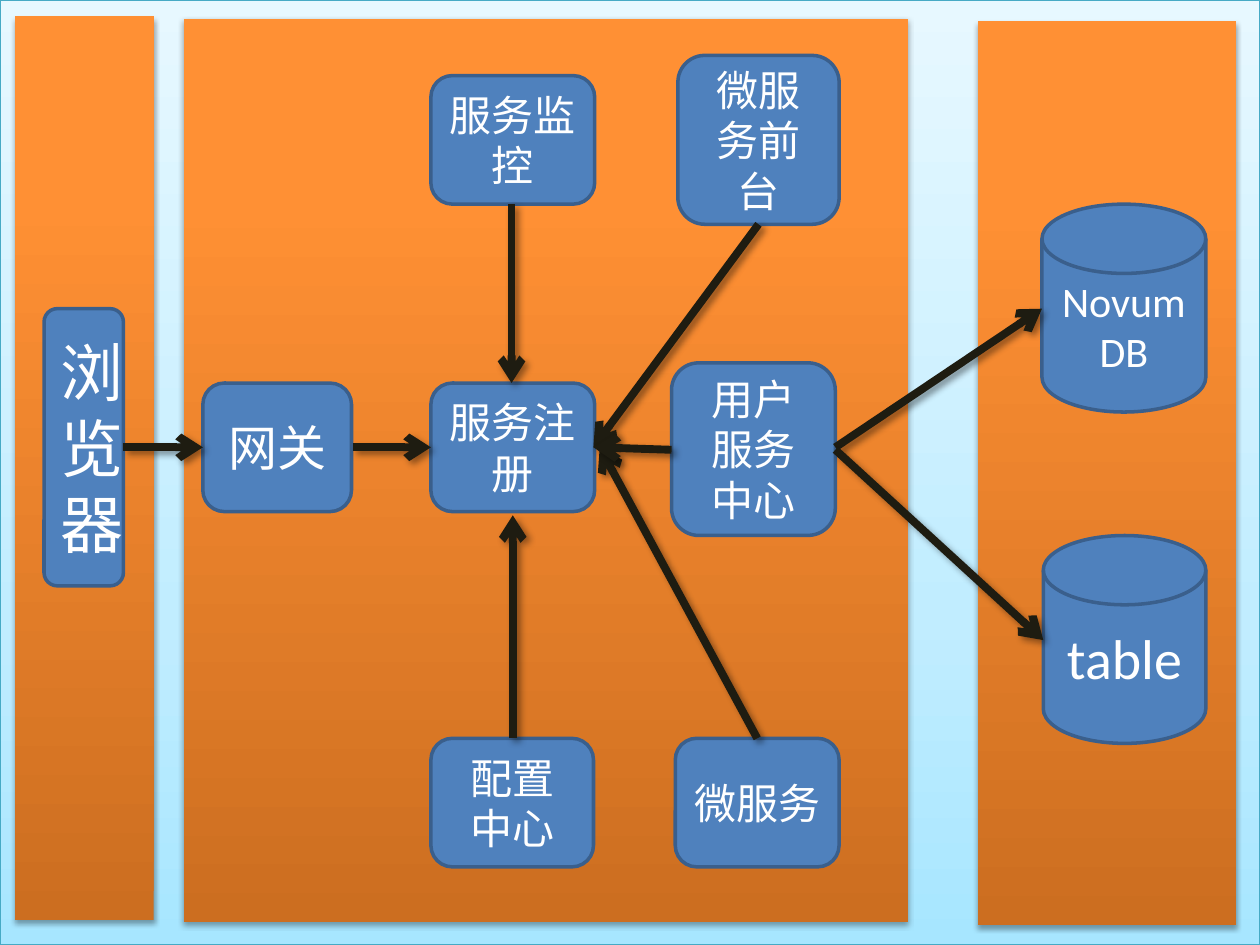
from dataclasses import dataclass

from lxml import etree
from pptx import Presentation
from pptx import util as u
from pptx.dml.color import RGBColor
from pptx.enum import shapes, text
from pptx.oxml.ns import qn

KIND = shapes.MSO_SHAPE


@dataclass(frozen=True)
class Theme:
    """Colours, type sizes and effects of the slide."""
    font: str = "Calibri"
    small: int = 24
    mid: int = 28
    large: int = 32
    huge: int = 36
    ink: str = "FFFFFF"
    node: str = "4F81BD"
    edge: str = "3A5F8C"
    rim: str = "46AAC5"
    arrow: str = "1E1C11"
    sky: tuple = ((0, "A7E6FF"), (35, "C1EDFF"), (100, "E7F8FF"))
    zone: tuple = ((0, "CC6E20"), (80, "FF9034"), (100, "FF9136"))
    # opacity %, blur pt, distance pt, angle
    sky_cast: tuple = (38, 3.1, 1.6, 90)
    zone_cast: tuple = (35, 3.1, 1.8, 90)
    line_cast: tuple = (40, 4, 3, 45)


def add(parent, tag, **attrs):
    """Append a drawing element and return it."""
    return etree.SubElement(parent, qn(tag), {k: str(v) for k, v in attrs.items()})


def apply(item, style):
    """Set each attribute named in a dict."""
    for name, value in style.items():
        setattr(item, name, value)


class Board:
    """Holds the theme and the current slide."""

    def __init__(self, deck, theme):
        """Start a blank slide."""
        self.theme = theme
        self.slide = deck.slides.add_slide(deck.slide_layouts[6])

    def cast(self, props, look):
        """Add an outer shadow to shape properties."""
        alpha, blur, dist, angle = look
        list_ = props.find(qn("a:effectLst"))
        if list_ is None:
            list_ = add(props, "a:effectLst")
        shade = add(list_, "a:outerShdw", blurRad=u.Pt(blur), dist=u.Pt(dist),
                    dir=angle * 60000, rotWithShape=0)
        tone = add(shade, "a:srgbClr", val="000000")
        add(tone, "a:alpha", val=alpha * 1000)

    def stroke(self, item, color, width):
        """Set the line colour and width."""
        item.line.color.rgb = RGBColor.from_string(color)
        item.line.width = u.Pt(width)

    def shape(self, kind, box):
        """Add a preset shape without the theme shadow."""
        item = self.slide.shapes.add_shape(kind, *map(u.Inches, box))
        item.shadow.inherit = False
        return item

    def panel(self, box, stops, look, rim=None):
        """Add a gradient rectangle with a shadow."""
        item = self.shape(KIND.RECTANGLE, box)
        item.fill.gradient()
        item.fill.gradient_angle = 90
        props = item.element.spPr
        ramp = props.find(".//" + qn("a:gsLst"))
        for stop in list(ramp):
            ramp.remove(stop)
        for place, color in stops:
            add(add(ramp, "a:gs", pos=place * 1000), "a:srgbClr", val=color)
        if rim:
            self.stroke(item, rim, 0.75)
        else:
            item.line.fill.background()
        self.cast(props, look)

    def node(self, label, box, size, kind=KIND.ROUNDED_RECTANGLE):
        """Add a labelled blue shape."""
        item = self.shape(kind, box)
        item.fill.solid()
        item.fill.fore_color.rgb = RGBColor.from_string(self.theme.node)
        self.stroke(item, self.theme.edge, 2)
        frame = item.text_frame
        apply(frame, {"word_wrap": True, "vertical_anchor": text.MSO_ANCHOR.MIDDLE})
        para = frame.paragraphs[0]
        para.alignment = text.PP_ALIGN.CENTER
        run = para.add_run()
        run.text = label
        apply(run.font, {"name": self.theme.font, "size": u.Pt(size)})
        run.font.color.rgb = RGBColor.from_string(self.theme.ink)

    def arrow(self, start, end):
        """Add a straight arrow from start to end."""
        item = self.slide.shapes.add_connector(
            shapes.MSO_CONNECTOR.STRAIGHT, *map(u.Inches, (*start, *end)))
        self.stroke(item, self.theme.arrow, 4.5)
        props = item.element.spPr
        add(props.find(qn("a:ln")), "a:tailEnd", type="arrow")
        self.cast(props, self.theme.line_cast)


def main():
    """Build and save the service diagram."""
    deck = Presentation()
    apply(deck, {"slide_width": u.Inches(10), "slide_height": u.Inches(7.5)})
    theme = Theme()
    board = Board(deck, theme)

    board.panel((0, 0, 10, 7.5), theme.sky, theme.sky_cast, theme.rim)
    for left, top, width in ((0.12, 0.13, 1.1), (1.46, 0.15, 5.75), (7.76, 0.17, 2.05)):
        board.panel((left, top, width, 7.17), theme.zone, theme.zone_cast)

    board.node("浏览器", (0.35, 2.45, 0.63, 2.2), theme.huge)
    board.node("网关", (1.61, 3.04, 1.18, 1.02), theme.mid)
    for label, box in (
        ("配置中心", (3.42, 5.86, 1.29, 1.02)),
        ("服务注册", (3.42, 3.04, 1.3, 1.02)),
        ("服务监控", (3.42, 0.6, 1.3, 1.02)),
        ("微服务", (5.36, 5.86, 1.3, 1.02)),
        ("用户服务中心", (5.33, 2.88, 1.3, 1.37)),
        ("微服务前台", (5.38, 0.44, 1.28, 1.34)),
    ):
        board.node(label, box, theme.small)
    disk = KIND.FLOWCHART_MAGNETIC_DISK
    board.node("NovumDB", (8.27, 1.62, 1.3, 1.65), theme.small, disk)
    board.node("table", (8.28, 4.25, 1.29, 1.65), theme.large, disk)

    axis = 3.55
    hub = (4.71, axis)
    for start, end in (
        ((2.8, axis), (3.42, axis)),
        ((4.06, 1.62), (4.06, 3.04)),
        ((4.07, 5.86), (4.07, 4.09)),
        ((6.02, 1.78), hub),
        ((6.01, 5.86), (4.76, axis)),
        ((5.33, 3.57), hub),
        ((6.63, axis), (8.27, 2.45)),
        ((6.63, 3.57), (8.28, 5.08)),
        ((0.98, axis), (1.61, axis)),
    ):
        board.arrow(start, end)

    deck.save("out.pptx")


main()
